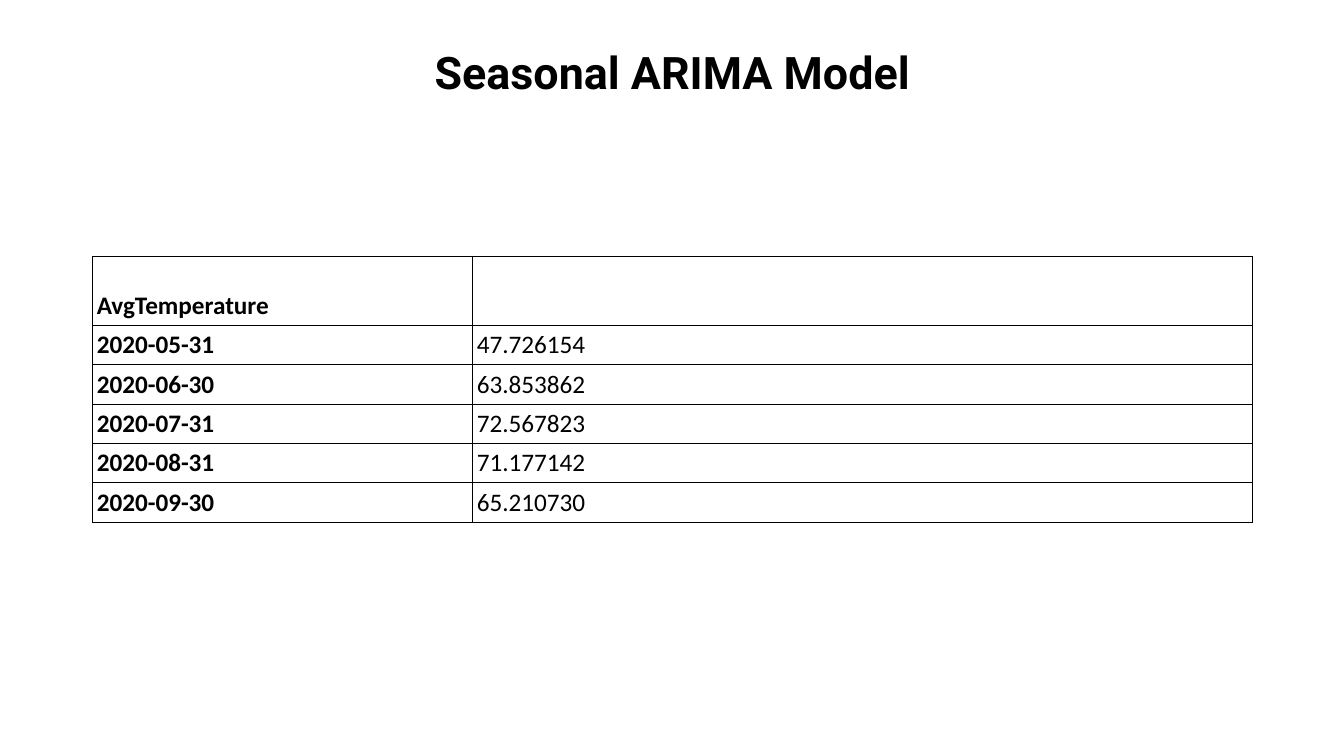
from lxml.etree import SubElement
from pptx import Presentation
from pptx.dml.color import RGBColor
from pptx.enum.text import MSO_ANCHOR as ANCHOR, PP_ALIGN as ALIGN
from pptx.oxml.ns import qn
from pptx.util import Inches, Pt

BLACK = "000000"
WHITE = "FFFFFF"
LEFT, WIDTH = 0.92, 11.5
HEADER_H, ROW_H = 0.69, 0.39
COL_WIDTHS = [3.77, 7.73]
ROWS = [
    ("AvgTemperature", ""),
    ("2020-05-31", "47.726154"),
    ("2020-06-30", "63.853862"),
    ("2020-07-31", "72.567823"),
    ("2020-08-31", "71.177142"),
    ("2020-09-30", "65.210730"),
]


def write(tf, text, font="Calibri", size=18, color=BLACK, bold=False,
          align=ALIGN.LEFT, spacing=1.0):
    """Write one formatted paragraph into a text frame."""
    p = tf.paragraphs[0]
    p.alignment = align
    p.line_spacing = spacing
    r = p.add_run()
    r.text = text
    r.font.name = font
    r.font.size = Pt(size)
    r.font.bold = bold
    r.font.color.rgb = RGBColor.from_string(color)


def add_borders(cell, color=BLACK, width=0.75):
    """Draw a solid line on all four sides of a table cell."""
    tc_pr = cell._tc.get_or_add_tcPr()
    for side in ("a:lnL", "a:lnR", "a:lnT", "a:lnB"):
        ln = SubElement(tc_pr, qn(side), w=str(Pt(width)))
        fill = SubElement(ln, qn("a:solidFill"))
        SubElement(fill, qn("a:srgbClr"), val=color)


prs = Presentation()
prs.slide_width, prs.slide_height = Inches(13.33), Inches(7.5)
s = prs.slides.add_slide(prs.slide_layouts[6])
s.background.fill.solid()
s.background.fill.fore_color.rgb = RGBColor.from_string(WHITE)

# Title
title = s.shapes.add_textbox(Inches(LEFT), Inches(0.4), Inches(WIDTH), Inches(1.47))
tf = title.text_frame
tf.word_wrap = True
tf.vertical_anchor = ANCHOR.TOP
tf.margin_top = Inches(0.1)
write(tf, "Seasonal ARIMA Model", font="Roboto", size=32, bold=True,
      align=ALIGN.CENTER, spacing=0.9)

# Forecast table
height = HEADER_H + ROW_H * (len(ROWS) - 1)
table = s.shapes.add_table(len(ROWS), len(COL_WIDTHS), Inches(LEFT), Inches(2.54),
                           Inches(WIDTH), Inches(height)).table
table.first_row = table.horz_banding = False
for column, width in zip(table.columns, COL_WIDTHS):
    column.width = Inches(width)

for i, values in enumerate(ROWS):
    table.rows[i].height = Inches(ROW_H if i else HEADER_H)
    for j, value in enumerate(values):
        cell = table.cell(i, j)
        cell.margin_left = cell.margin_right = Inches(0.04)
        cell.margin_top = cell.margin_bottom = Inches(0.04)
        cell.vertical_anchor = ANCHOR.MIDDLE if i else ANCHOR.BOTTOM
        add_borders(cell)
        cell.fill.background()
        if value:
            write(cell.text_frame, value, bold=j == 0)

prs.save("out.pptx")
